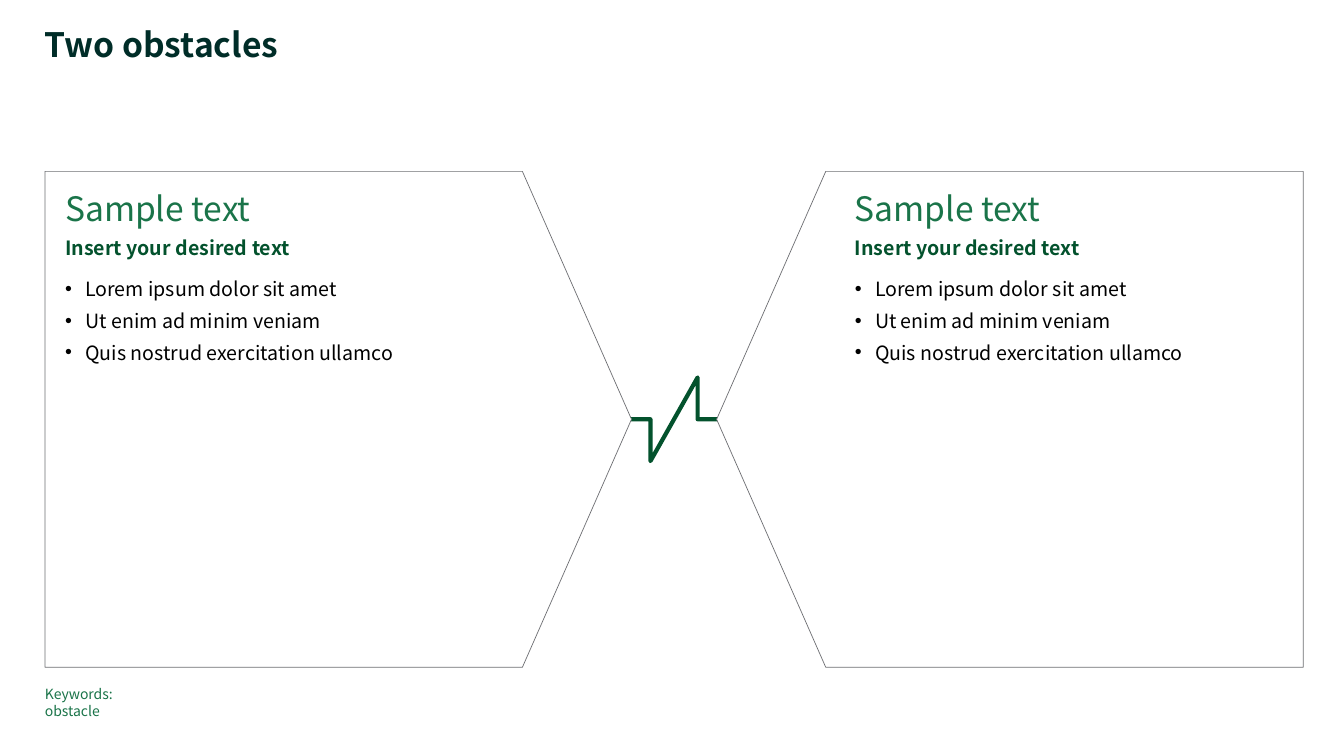
import pptx
import pptx.util
import pptx.dml.color
import pptx.enum.shapes
import pptx.enum.text
import pptx.oxml.ns
import lxml.etree

Pt = pptx.util.Pt
FONT = "Noto Sans CJK JP"
COLORS = {
    "title": "002D28",
    "heading": "1A7449",
    "accent": "03522D",
    "body": "000000",
    "outline": "6E6F73",
    "panel": "FFFFFF",
}
BULLETS = [
    "Lorem ipsum dolor sit amet",
    "Ut enim ad minim veniam",
    "Quis nostrud exercitation ullamco",
]


def rgb(name):
    return pptx.dml.color.RGBColor.from_string(COLORS[name])


def add_child(parent, tag, **attributes):
    return lxml.etree.SubElement(parent, pptx.oxml.ns.qn(tag), attributes)


def prepare_frame(frame, insets=(0, 0, 0, 0)):
    frame.word_wrap = True
    frame.vertical_anchor = pptx.enum.text.MSO_ANCHOR.TOP
    frame.margin_left, frame.margin_top, frame.margin_right, frame.margin_bottom = map(Pt, insets)


def write(frame, text, size=14, color="body", bold=False, after=0, line=None, bullet=False):
    paragraph = frame.paragraphs[0]
    if paragraph.runs:
        paragraph = frame.add_paragraph()
    paragraph.text = text
    paragraph.alignment = pptx.enum.text.PP_ALIGN.LEFT
    paragraph.space_after = Pt(after)
    if line:
        paragraph.line_spacing = line
    if bullet:
        paragraph.level = 1
        properties = paragraph._p.get_or_add_pPr()
        properties.set("marL", str(Pt(14.4)))
        properties.set("indent", str(-Pt(14.4)))
        add_child(add_child(properties, "a:buClr"), "a:srgbClr", val=COLORS["body"])
        add_child(properties, "a:buFont", typeface="Arial")
        add_child(properties, "a:buChar", char="•")
    for run in paragraph.runs:
        run.font.name = FONT
        run.font.size = Pt(size)
        run.font.bold = bold
        run.font.color.rgb = rgb(color)


def add_label(slide, box, text, **style):
    label = slide.shapes.add_textbox(*map(Pt, box))
    prepare_frame(label.text_frame)
    write(label.text_frame, text, **style)


def add_clash(slide, box):
    left, top, width, height = box
    right, bottom, middle = left + width, top + height, top + height / 2
    step = width * 0.24
    corners = [
        (right, middle), (right - step, middle), (right - step, top),
        (left + step, bottom), (left + step, middle), (left, middle),
    ]
    start, *others = [(Pt(x), Pt(y)) for x, y in corners]
    builder = slide.shapes.build_freeform(*start)
    builder.add_line_segments(others, close=False)
    clash = builder.convert_to_shape()
    clash.shadow.inherit = False
    clash.fill.background()
    clash.line.color.rgb = rgb("accent")
    clash.line.width = Pt(3)
    add_child(clash.line._get_or_add_ln(), "a:round")


def add_obstacle(slide, box, mirrored=False):
    panel = slide.shapes.add_shape(pptx.enum.shapes.MSO_SHAPE.PENTAGON, *map(Pt, box))
    panel.adjustments[0] = 0.22
    panel.shadow.inherit = False
    panel.fill.solid()
    panel.fill.fore_color.rgb = rgb("panel")
    panel.line.color.rgb = rgb("outline")
    panel.line.width = Pt(0.5)
    if mirrored:
        panel._element.spPr.find(pptx.oxml.ns.qn("a:xfrm")).set("flipH", "1")
    frame = panel.text_frame
    prepare_frame(frame, (59.76 if mirrored else 14.4, 11.52, 14.4, 11.52))
    write(frame, "Sample text", size=24, color="heading", after=6)
    write(frame, "Insert your desired text", color="accent", bold=True, after=12)
    for bullet in BULLETS:
        write(frame, bullet, after=6, bullet=True)


def main():
    deck = pptx.Presentation()
    deck.slide_width, deck.slide_height = Pt(960), Pt(540)
    slide = deck.slides.add_slide(deck.slide_layouts[6])
    margin, top, width, height = 32.1, 122.4, 419, 354.24
    right_panel = 930.9 - width
    clash_width, clash_height = 64.8, 59.76
    center = (margin + right_panel + width) / 2
    clash_left = center - clash_width / 2
    clash_top = top + (height - clash_height) / 2

    add_label(slide, (margin, 20.16, 794.16, 26.64), "Two obstacles",
              size=24, color="title", bold=True, line=0.9)
    add_clash(slide, (clash_left, clash_top, clash_width, clash_height))
    add_obstacle(slide, (margin, top, width, height))
    add_obstacle(slide, (right_panel, top, width, height), mirrored=True)
    add_label(slide, (margin, 489.6, 87.12, 24), "Keywords:\vobstacle",
              size=10, color="heading", after=1.1)
    deck.save("out.pptx")


if __name__ == "__main__":
    main()
